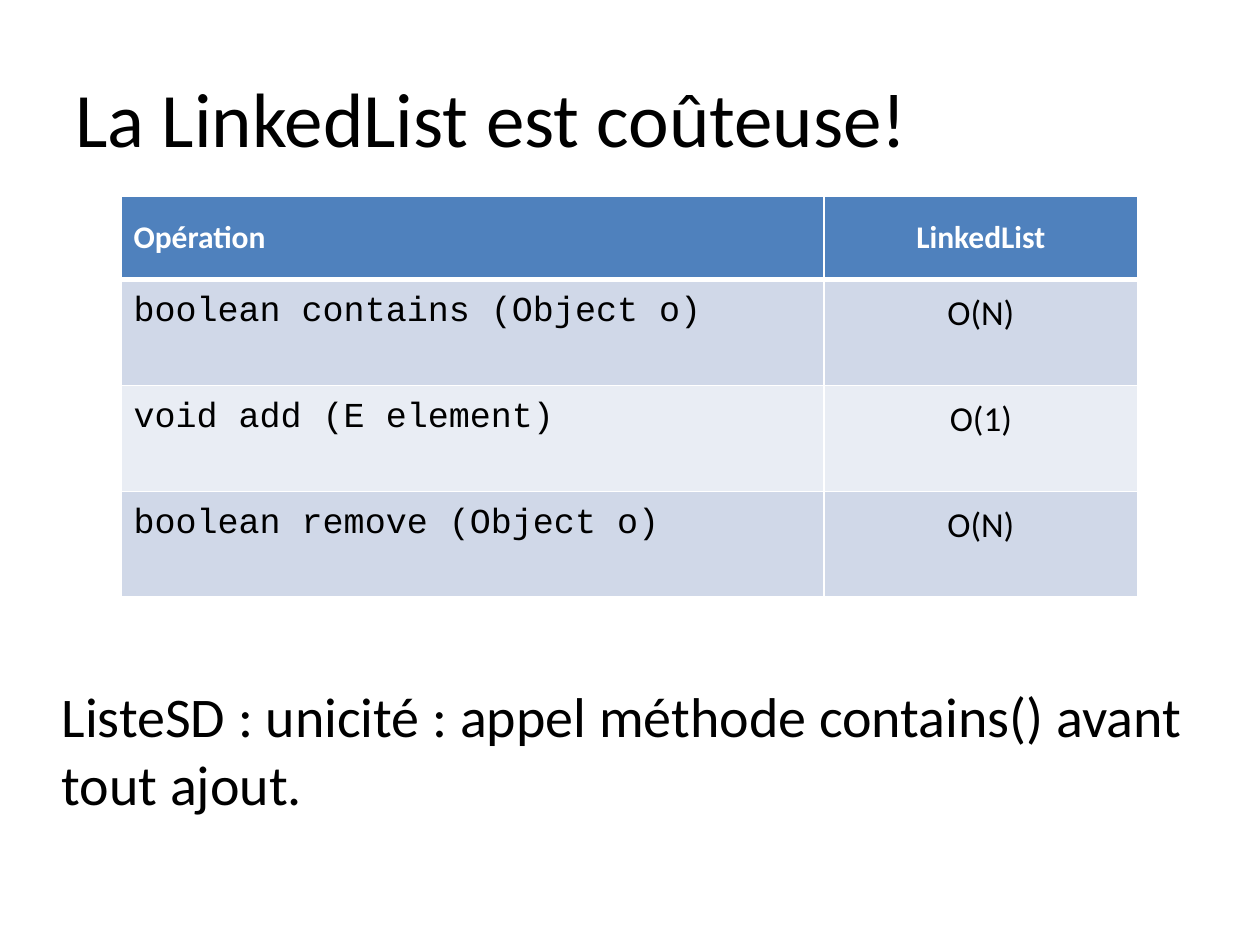
from lxml import etree
from pptx import Presentation
from pptx import util as u
from pptx.dml.color import RGBColor
from pptx.enum import text
from pptx.oxml.ns import qn

BLACK = RGBColor(0x00, 0x00, 0x00)
WHITE = RGBColor(0xFF, 0xFF, 0xFF)
BLUE = RGBColor(0x4F, 0x81, 0xBD)
BANDS = RGBColor(0xD0, 0xD8, 0xE8), RGBColor(0xE9, 0xED, 0xF4)
BODY_FONT, CODE_FONT = "Calibri", "Courier New"

# text, (left, top, width, height) in inches, size in points
TEXTS = [
    ("La LinkedList est coûteuse!", (0.5, 0.3, 9, 1.25), 44),
    ("ListeSD : unicité : appel méthode contains() avant tout ajout.",
     (0.39, 5.32, 9.21, 1.25), 32),
]
COSTS = [
    ("Opération", "LinkedList"),
    ("boolean contains (Object o)", "O(N)"),
    ("void add (E element)", "O(1)"),
    ("boolean remove (Object o)", "O(N)"),
]
TABLE_LEFT, TABLE_TOP = 0.96, 1.56
COL_WIDTHS = 5.58, 2.49
ROW_HEIGHTS = [0.66] + [0.84] * (len(COSTS) - 1)


def add_run(p, words, size, font=BODY_FONT, color=BLACK, bold=False):
    r = p.add_run()
    r.text = words
    r.font.size, r.font.name = u.Pt(size), font
    r.font.color.rgb, r.font.bold = color, bold


def add_text(slide, words, box, size):
    tf = slide.shapes.add_textbox(*map(u.Inches, box)).text_frame
    tf.word_wrap = True
    tf.vertical_anchor = text.MSO_ANCHOR.MIDDLE
    add_run(tf.paragraphs[0], words, size)


def set_borders(cell, top, bottom):
    """Draw white cell borders; widths in points, sides are always 1."""
    tcPr = cell._tc.get_or_add_tcPr()
    sides = (("L", 1), ("R", 1), ("T", top), ("B", bottom))
    for i, (side, width) in enumerate(sides):
        ln = etree.Element(qn(f"a:ln{side}"), w=str(u.Pt(width)))
        fill = etree.SubElement(ln, qn("a:solidFill"))
        etree.SubElement(fill, qn("a:srgbClr"), val=str(WHITE))
        tcPr.insert(i, ln)


def add_cost_table(slide):
    size = sum(COL_WIDTHS), sum(ROW_HEIGHTS)
    table = slide.shapes.add_table(
        len(COSTS), len(COL_WIDTHS),
        *map(u.Inches, (TABLE_LEFT, TABLE_TOP, *size))).table
    for column, width in zip(table.columns, COL_WIDTHS):
        column.width = u.Inches(width)
    for row, height in zip(table.rows, ROW_HEIGHTS):
        row.height = u.Inches(height)

    for i, row in enumerate(COSTS):
        header = i == 0
        for j, words in enumerate(row):
            cell = table.cell(i, j)
            cell.fill.solid()
            cell.fill.fore_color.rgb = BLUE if header else BANDS[(i - 1) % 2]
            set_borders(cell, 3 if i == 1 else 1, 3 if header else 1)
            p = cell.text_frame.paragraphs[0]
            if j:
                p.alignment = text.PP_ALIGN.CENTER
            if header:
                cell.vertical_anchor = text.MSO_ANCHOR.MIDDLE
                add_run(p, words, 18, color=WHITE, bold=True)
            else:
                cell.vertical_anchor = text.MSO_ANCHOR.TOP
                cell.margin_top = u.Inches(0.1)
                add_run(p, words, 20, BODY_FONT if j else CODE_FONT)


def main():
    prs = Presentation()
    prs.slide_width, prs.slide_height = u.Inches(10), u.Inches(7.5)
    slide = prs.slides.add_slide(prs.slide_layouts[6])
    title, remark = TEXTS
    add_text(slide, *title)
    add_cost_table(slide)
    add_text(slide, *remark)
    prs.save("out.pptx")


if __name__ == "__main__":
    main()
